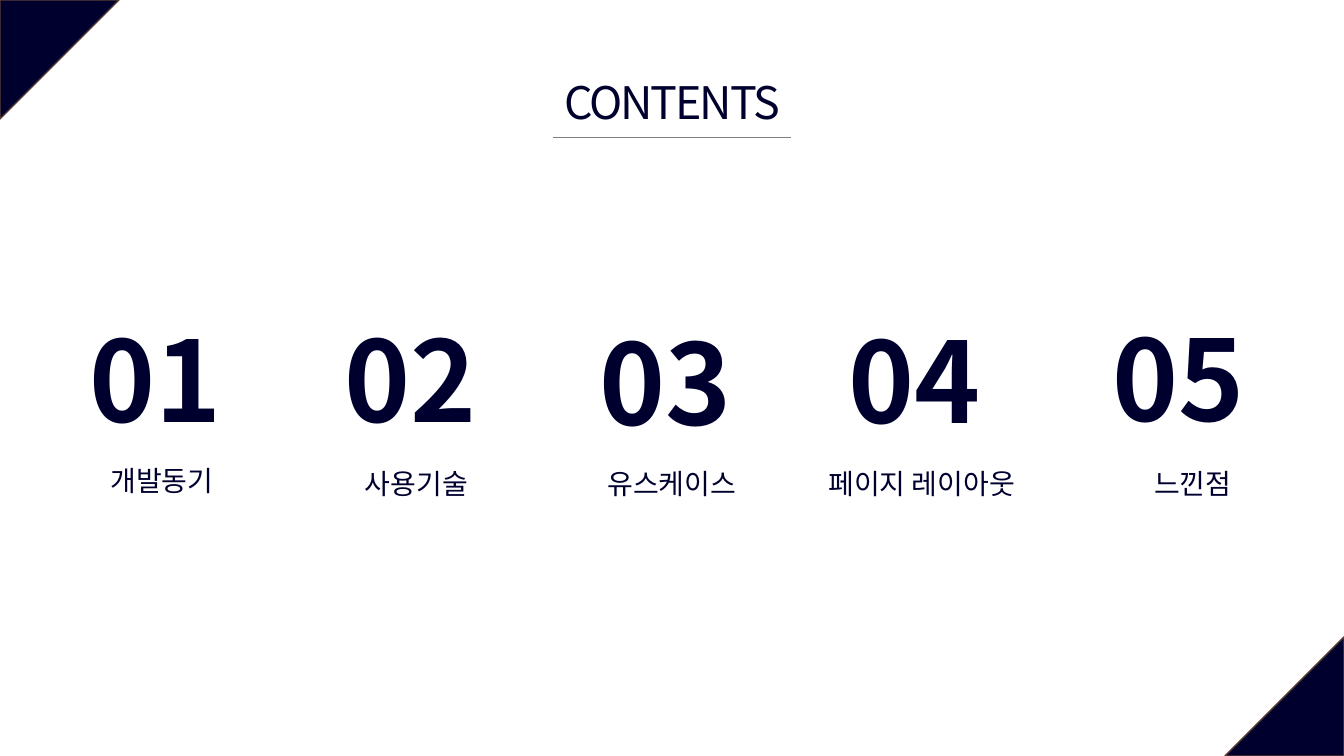
from dataclasses import dataclass

from lxml import etree
from pptx import Presentation
from pptx.dml.color import RGBColor
from pptx.enum.shapes import MSO_CONNECTOR, MSO_SHAPE
from pptx.enum.text import MSO_ANCHOR, MSO_AUTO_SIZE, PP_ALIGN
from pptx.oxml.ns import qn
from pptx.util import Cm, Pt

TRIANGLE, RECT = MSO_SHAPE.ISOSCELES_TRIANGLE, MSO_SHAPE.RECTANGLE
STRAIGHT = MSO_CONNECTOR.STRAIGHT
LEFT, CENTER = PP_ALIGN.LEFT, PP_ALIGN.CENTER
TOP, MIDDLE = MSO_ANCHOR.TOP, MSO_ANCHOR.MIDDLE
GROW = MSO_AUTO_SIZE.SHAPE_TO_FIT_TEXT

# Content: label, number position, label position (cm)
TITLE = "CONTENTS"
SECTIONS = [
    ("개발동기", (2.01, 7.70), (1.02, 11.46)),
    ("사용기술", (8.43, 7.70), (7.44, 11.53)),
    ("유스케이스", (14.86, 7.77), (13.87, 11.53)),
    ("페이지 레이아웃", (21.13, 7.72), (20.17, 11.53)),
    ("느낀점", (27.79, 7.67), (27.00, 11.53)),
]

# Layout (cm)
SLIDE_W, SLIDE_H = 33.87, 19.05
CORNER = 3.0
TITLE_W, TITLE_H, TITLE_TOP, RULE_Y = 6.02, 1.63, 1.75, 3.45
NUMBER_SIZE = (4.14, 3.68)
LABEL_SIZE = (6.12, 1.30)


@dataclass(frozen=True)
class Theme:
    font: str = "Noto Sans CJK KR"
    navy: RGBColor = RGBColor(0x00, 0x00, 0x2F)
    brown: RGBColor = RGBColor(0x5B, 0x3F, 0x33)
    grey: RGBColor = RGBColor(0x80, 0x80, 0x80)
    white: RGBColor = RGBColor(0xFF, 0xFF, 0xFF)
    title_size: int = 32
    number_size: int = 80
    label_size: int = 20


theme = Theme()

prs = Presentation()
prs.slide_width, prs.slide_height = Cm(SLIDE_W), Cm(SLIDE_H)
s = prs.slides.add_slide(prs.slide_layouts[6])


def add_box(kind, left, top, width, height, fill, line):
    sp = s.shapes.add_shape(kind, Cm(left), Cm(top), Cm(width), Cm(height))
    sp.shadow.inherit = False
    sp.fill.solid()
    sp.fill.fore_color.rgb = fill
    sp.line.color.rgb = line
    sp.line.width = Pt(1)
    return sp


def add_textbox(left, top, width, height):
    sp = s.shapes.add_textbox(Cm(left), Cm(top), Cm(width), Cm(height))
    sp.text_frame.auto_size = GROW
    return sp


def write(sp, text, size, bold=False, align=LEFT, anchor=TOP, wrap=False, spacing=None):
    tf = sp.text_frame
    tf.word_wrap = wrap
    tf.vertical_anchor = anchor
    p = tf.paragraphs[0]
    p.alignment = align
    r = p.add_run()
    r.text = text
    r.font.name = theme.font
    r.font.size = Pt(size)
    r.font.bold = bold
    r.font.color.rgb = theme.navy
    r_pr = r.font._element
    etree.SubElement(r_pr, qn("a:ea")).set("typeface", theme.font)
    if spacing is not None:
        r_pr.set("spc", str(round(spacing * 100)))


# Corner triangles
for left, top, angle in [(0, 0, 90), (SLIDE_W - CORNER, SLIDE_H - CORNER, 270)]:
    corner = add_box(TRIANGLE, left, top, CORNER, CORNER, theme.navy, theme.brown)
    corner.adjustments[0] = 0
    corner.rotation = angle

# Title and its rule
title_left = (SLIDE_W - TITLE_W) / 2
write(add_textbox(title_left, TITLE_TOP, TITLE_W, TITLE_H), TITLE,
      theme.title_size, align=CENTER, spacing=-1.5)
rule = s.shapes.add_connector(STRAIGHT, Cm(title_left), Cm(RULE_Y),
                              Cm(title_left + TITLE_W), Cm(RULE_Y))
rule.line.color.rgb = theme.grey
rule.line.width = Pt(0.5)
etree.SubElement(rule._element.spPr, qn("a:effectLst"))

# Numbered sections
for number, (label, number_at, label_at) in enumerate(SECTIONS, start=1):
    write(add_textbox(*number_at, *NUMBER_SIZE), f"{number:02}",
          theme.number_size, bold=True)
    panel = add_box(RECT, *label_at, *LABEL_SIZE, theme.white, theme.white)
    color = panel._element.spPr.find(qn("a:solidFill"))[0]
    etree.SubElement(color, qn("a:alpha")).set("val", "80000")
    write(panel, label, theme.label_size, align=CENTER, anchor=MIDDLE, wrap=True)

prs.save("out.pptx")
